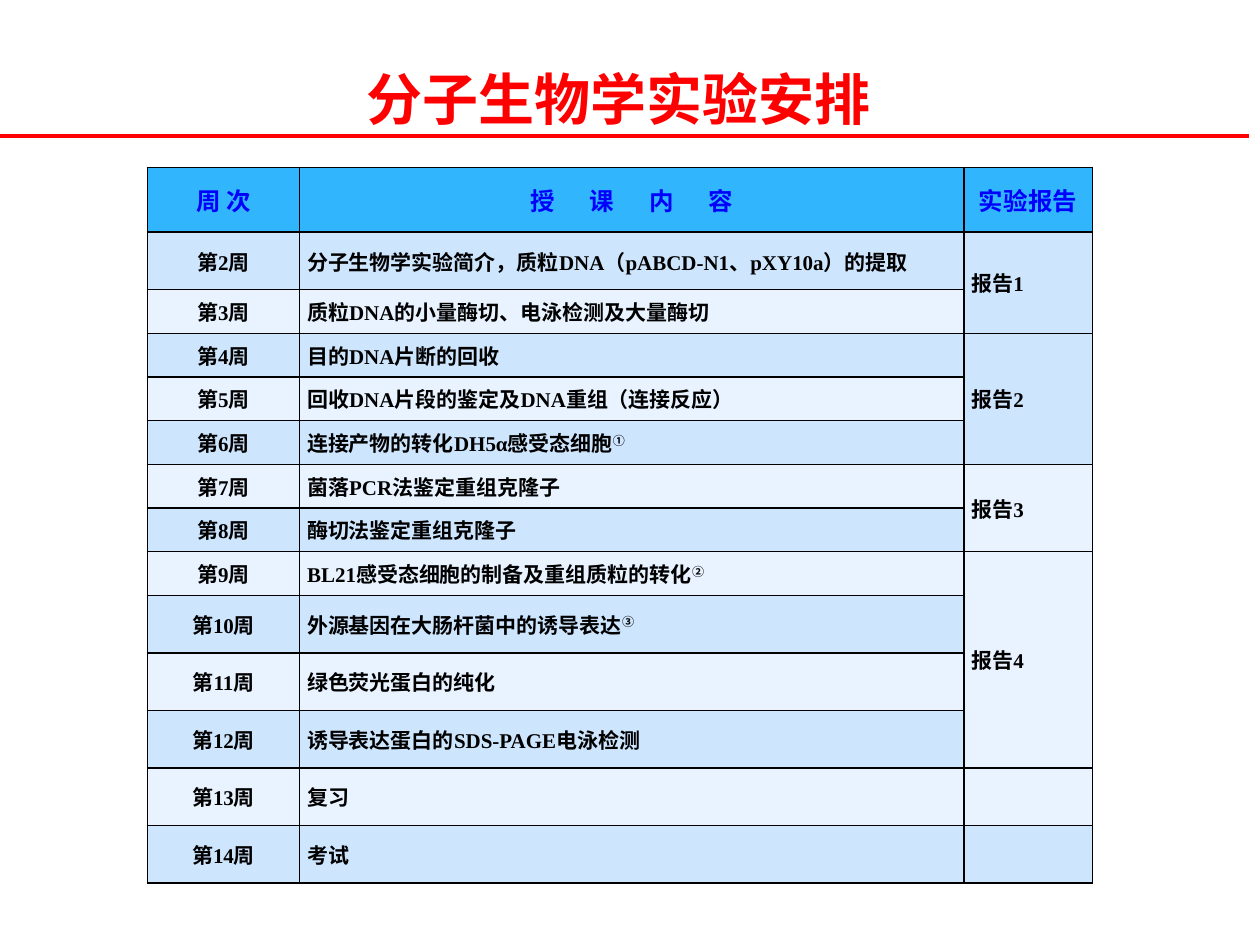
from lxml import etree
from pptx import Presentation
from pptx.dml.color import RGBColor
from pptx.enum.shapes import MSO_CONNECTOR
from pptx.enum.text import MSO_ANCHOR, PP_ALIGN
from pptx.oxml.ns import qn
from pptx.util import Cm, Pt

CENTER, LEFT = PP_ALIGN.CENTER, PP_ALIGN.LEFT
MIDDLE, TOP = MSO_ANCHOR.MIDDLE, MSO_ANCHOR.TOP
STRAIGHT = MSO_CONNECTOR.STRAIGHT
SERIF, SANS = "Times New Roman", "Noto Sans CJK SC"
COLORS = {"red": "FF0000", "blue": "0000FF", "black": "000000",
          "header": "31B6FD", "dark_band": "CEE5FE", "light_band": "E8F3FF"}


def add_run(paragraph, text, size, color, font=SERIF):
    run = paragraph.add_run()
    run.text = text
    run.font.size = Pt(size)
    run.font.bold = True
    run.font.name = font
    run.font.color.rgb = RGBColor.from_string(COLORS[color])
    etree.SubElement(run.font._element, qn("a:ea"), typeface=SANS)
    return run


def style_cell(cell, fill, align):
    cell.fill.solid()
    cell.fill.fore_color.rgb = RGBColor.from_string(COLORS[fill])
    cell.vertical_anchor = MIDDLE
    cell.margin_left = cell.margin_right = Cm(0.15)
    cell.margin_top = cell.margin_bottom = 0
    properties = cell._tc.get_or_add_tcPr()
    for position, side in enumerate(("lnL", "lnR", "lnT", "lnB")):
        border = etree.Element(qn(f"a:{side}"), w=str(Pt(1)))
        solid = etree.SubElement(border, qn("a:solidFill"))
        etree.SubElement(solid, qn("a:srgbClr"), val=COLORS["black"])
        properties.insert(position, border)
    paragraph = cell.text_frame.paragraphs[0]
    paragraph.alignment = align
    return paragraph


lessons = [
    ("分子生物学实验简介，质粒DNA（pABCD-N1、pXY10a）的提取", ""),
    ("质粒DNA的小量酶切、电泳检测及大量酶切", ""),
    ("目的DNA片断的回收", ""),
    ("回收DNA片段的鉴定及DNA重组（连接反应）", ""),
    ("连接产物的转化DH5α感受态细胞", "①"),
    ("菌落PCR法鉴定重组克隆子", ""),
    ("酶切法鉴定重组克隆子", ""),
    ("BL21感受态细胞的制备及重组质粒的转化", "②"),
    ("外源基因在大肠杆菌中的诱导表达", "③"),
    ("绿色荧光蛋白的纯化", ""),
    ("诱导表达蛋白的SDS-PAGE电泳检测", ""),
    ("复习", ""),
    ("考试", ""),
]
report_spans = [2, 3, 2, 4]
column_widths = [3.07, 13.39, 2.59]
row_heights = [1.3, 1.16] + [0.88] * 7 + [1.16] * 5

prs = Presentation()
prs.slide_width, prs.slide_height = Cm(25.4), Cm(19.05)
slide = prs.slides.add_slide(prs.slide_layouts[6])

schedule = slide.shapes.add_table(
    len(row_heights), len(column_widths), Cm(2.97), Cm(3.38),
    Cm(sum(column_widths)), Cm(sum(row_heights))).table
schedule.horz_banding = False
for column, width in zip(schedule.columns, column_widths):
    column.width = Cm(width)
for row, height in zip(schedule.rows, row_heights):
    row.height = Cm(height)

week_head, content_head, report_head = [
    style_cell(cell, "header", CENTER) for cell in schedule.rows[0].cells]
add_run(week_head, "周 次", 14, "blue")
spaced = add_run(content_head, "授课内", 14, "blue")
spaced.font._element.set("spc", "2000")
add_run(content_head, "容", 14, "blue")
add_run(report_head, "实验报告", 14, "blue")

report_cells = {}
for number, (lesson, note) in enumerate(lessons, start=1):
    band = "dark_band" if number % 2 else "light_band"
    week, content, report_cells[number] = [
        style_cell(cell, band, align)
        for cell, align in zip(schedule.rows[number].cells, (CENTER, LEFT, LEFT))]
    add_run(week, f"第{number + 1}周", 12, "black")
    add_run(content, lesson, 12, "black")
    if note:
        mark = add_run(content, note, 12, "black")
        mark.font._element.set("baseline", "30000")

first = 1
for number, span in enumerate(report_spans, start=1):
    report = report_cells[first]
    add_run(report, f"报告{number}", 12, "black")
    schedule.cell(first, 2).merge(schedule.cell(first + span - 1, 2))
    first += span

rule = slide.shapes.add_connector(STRAIGHT, Cm(-0.23), Cm(2.74), Cm(25.17), Cm(2.74))
rule.line.color.rgb = RGBColor.from_string(COLORS["red"])
rule.line.width = Pt(2.25)
etree.SubElement(rule._element.spPr, qn("a:effectLst"))

heading = slide.shapes.add_textbox(Cm(1.04), Cm(1.17), Cm(22.86), Cm(3.18)).text_frame
heading.word_wrap = True
heading.vertical_anchor = TOP
heading.paragraphs[0].alignment = CENTER
add_run(heading.paragraphs[0], "分子生物学实验安排", 32, "red", SANS)

prs.save("out.pptx")
